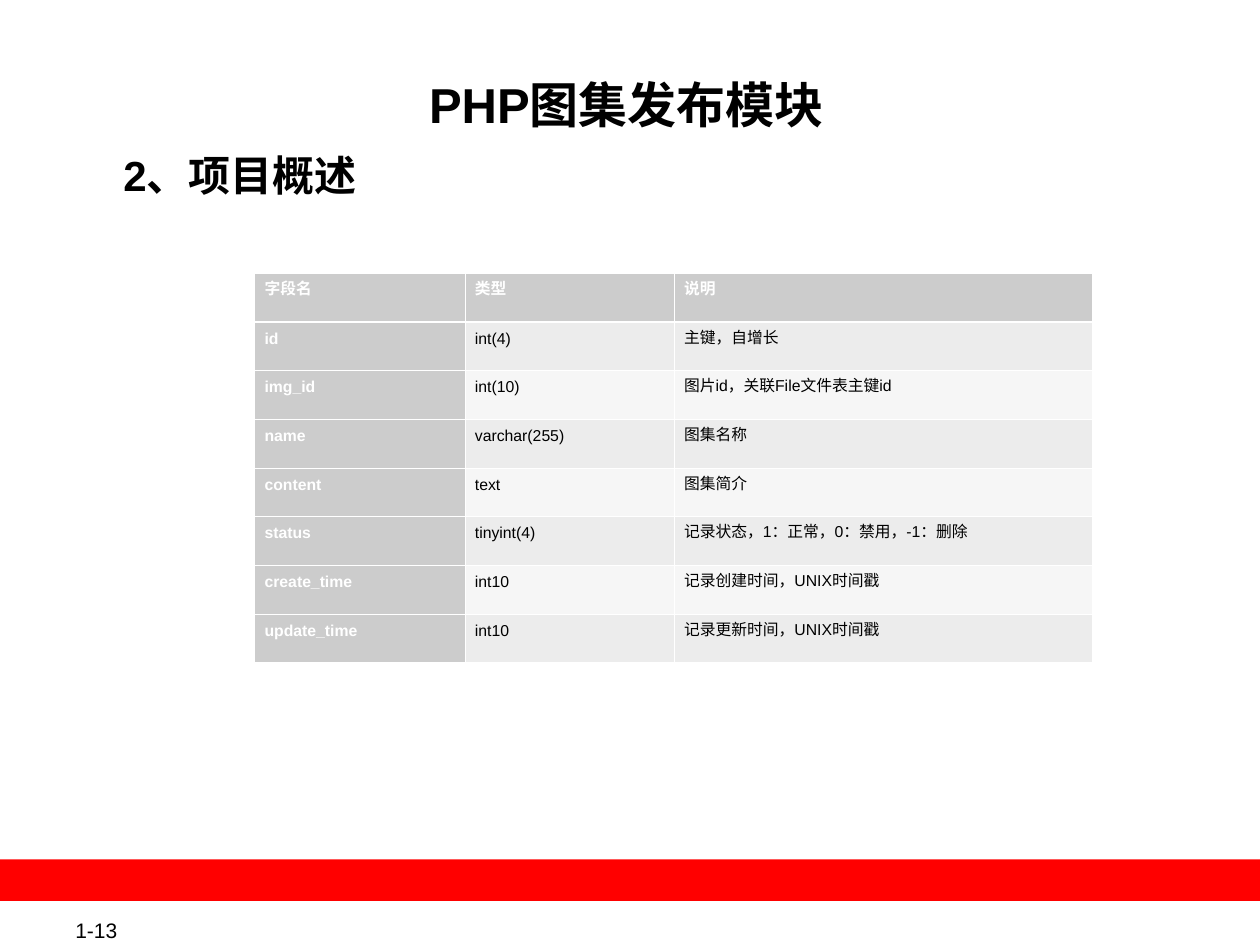
from dataclasses import dataclass

from lxml.etree import SubElement
from pptx import Presentation
from pptx.dml.color import RGBColor
from pptx.enum.shapes import MSO_SHAPE
from pptx.enum.text import MSO_ANCHOR, PP_ALIGN
from pptx.oxml import parse_xml
from pptx.oxml.ns import nsdecls, qn
from pptx.util import Inches, Pt


@dataclass(frozen=True)
class Theme:
    """Colours, font and type sizes of the slide."""
    font: str = "Arial"
    text: str = "000000"
    white: str = "FFFFFF"
    red: str = "FF0000"
    header: str = "CCCCCC"
    bands: tuple = ("ECECEC", "F6F6F6")
    title: int = 28
    heading: int = 24
    number: int = 12
    cell: int = 9
    leading: int = 11
    thin: float = 0.45
    thick: float = 1.47


THEME = Theme()
COLUMNS = (1.67, 1.66, 3.32)
FIELDS = (
    ("字段名", "类型", "说明"),
    ("id", "int(4)", "主键，自增长"),
    ("img_id", "int(10)", "图片id，关联File文件表主键id"),
    ("name", "varchar(255)", "图集名称"),
    ("content", "text", "图集简介"),
    ("status", "tinyint(4)", "记录状态，1：正常，0：禁用，-1：删除"),
    ("create_time", "int10", "记录创建时间，UNIX时间戳"),
    ("update_time", "int10", "记录更新时间，UNIX时间戳"),
)


def add_run(p, text, size, color=THEME.text, bold=False):
    """Add one styled run to a paragraph."""
    r = p.add_run()
    r.text = text
    r.font.name = THEME.font
    r.font.size = Pt(size)
    r.font.bold = bold
    r.font.color.rgb = RGBColor.from_string(color)


def add_text(s, box, text, size, bold=False, inset=(0.01, 0.01), anchor=MSO_ANCHOR.TOP):
    """Add a one-line text box and return its paragraph."""
    tf = s.shapes.add_textbox(*map(Inches, box)).text_frame
    tf.word_wrap = True
    tf.vertical_anchor = anchor
    tf.margin_left = tf.margin_right = Inches(inset[0])
    tf.margin_top = tf.margin_bottom = Inches(inset[1])
    p = tf.paragraphs[0]
    add_run(p, text, size, bold=bold)
    return p


def add_header(s, left, top, width):
    """Place the centred title and the section heading under it."""
    p = add_text(s, (left, top, width, 0.6), "PHP图集发布模块", THEME.title, bold=True)
    p.alignment = PP_ALIGN.CENTER
    p.space_before = Pt(7)
    p = add_text(s, (left, top + 0.6, width, 0.43), "2、项目概述", THEME.heading, bold=True)
    p.space_before = Pt(6)


def add_footer(s, left, top, width):
    """Place the red band and the page number below it."""
    band = s.shapes.add_shape(MSO_SHAPE.RECTANGLE, *map(Inches, (left, top, width, 0.33)))
    band.shadow.inherit = False
    band.fill.solid()
    band.fill.fore_color.rgb = RGBColor.from_string(THEME.red)
    band.line.fill.background()
    add_text(s, (left + 0.5, top + 0.46, 1.06, 0.2), "1-13", THEME.number,
             inset=(0.1, 0.05), anchor=MSO_ANCHOR.MIDDLE)


def set_borders(cell, top, bottom):
    """Draw white lines around a cell, with the given top and bottom widths."""
    tc_pr = cell._tc.get_or_add_tcPr()
    sides = (("L", THEME.thin), ("R", THEME.thin), ("T", top), ("B", bottom))
    for i, (side, width) in enumerate(sides):
        ln = parse_xml(f'<a:ln{side} {nsdecls("a")} w="{Pt(width)}"/>')
        fill = SubElement(ln, qn("a:solidFill"))
        SubElement(fill, qn("a:srgbClr"), val=THEME.white)
        tc_pr.insert(i, ln)


def fill_cell(cell, text, row, col):
    """Write and style one cell by its place in the table."""
    is_header = row == 0 or col == 0
    cell.margin_left = cell.margin_right = Inches(0.08)
    cell.margin_top = cell.margin_bottom = Inches(0.05)
    p = cell.text_frame.paragraphs[0]
    p.line_spacing = Pt(THEME.leading)
    add_run(p, text, THEME.cell, THEME.white if is_header else THEME.text, is_header)
    cell.fill.solid()
    color = THEME.header if is_header else THEME.bands[(row - 1) % 2]
    cell.fill.fore_color.rgb = RGBColor.from_string(color)
    set_borders(cell, THEME.thick if row == 1 else THEME.thin,
                THEME.thick if row == 0 else THEME.thin)


def add_field_table(s, left, top, width, height):
    """Place the table of database fields with equal rows."""
    box = map(Inches, (left, top, width, height))
    table = s.shapes.add_table(len(FIELDS), len(COLUMNS), *box).table
    for column, size in zip(table.columns, COLUMNS):
        column.width = Inches(size)
    for row, texts in enumerate(FIELDS):
        table.rows[row].height = Inches(height / len(FIELDS))
        for col, text in enumerate(texts):
            fill_cell(table.cell(row, col), text, row, col)


def main():
    """Build the slide and save it."""
    prs = Presentation()
    prs.slide_width, prs.slide_height = Inches(10), Inches(7.5)
    s = prs.slides.add_slide(prs.slide_layouts[6])
    add_footer(s, 0, 6.82, 10)
    add_header(s, 0.97, 0.58, 8)
    add_field_table(s, 2.02, 2.17, sum(COLUMNS), 3.09)
    prs.save("out.pptx")


if __name__ == "__main__":
    main()
